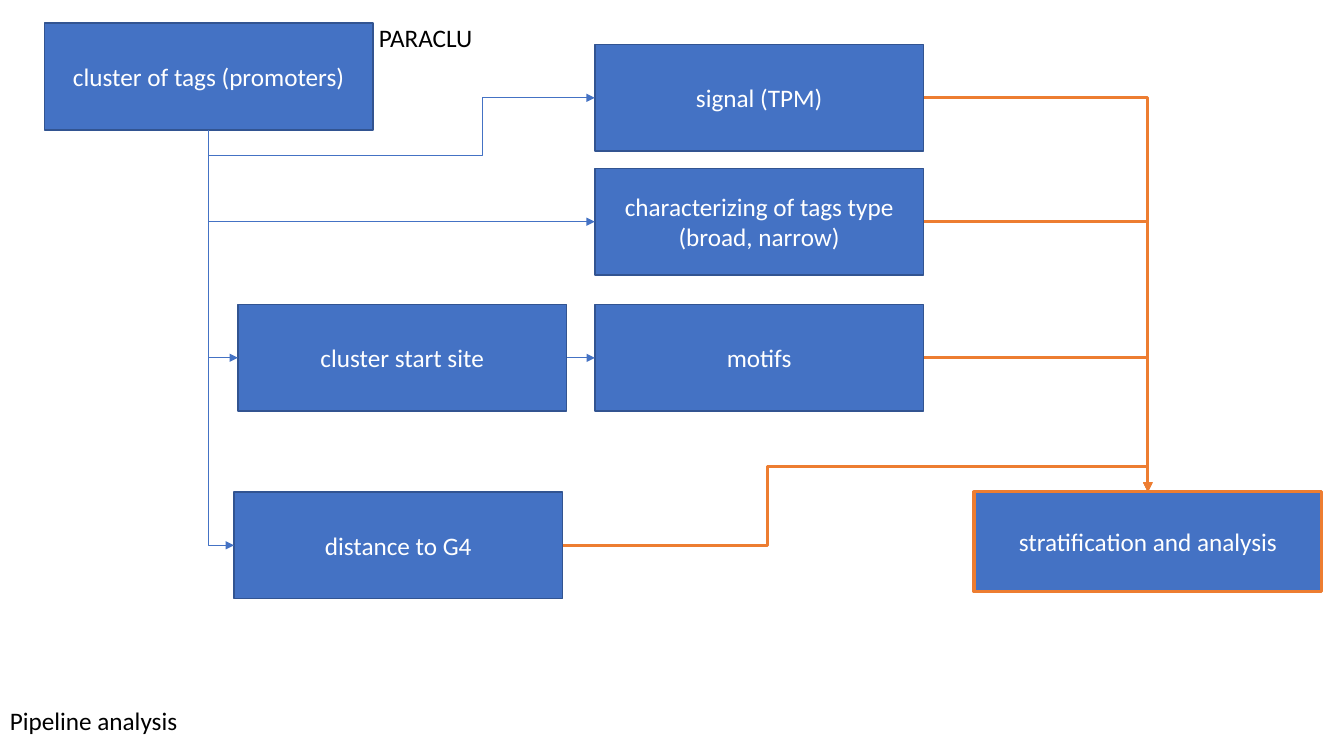
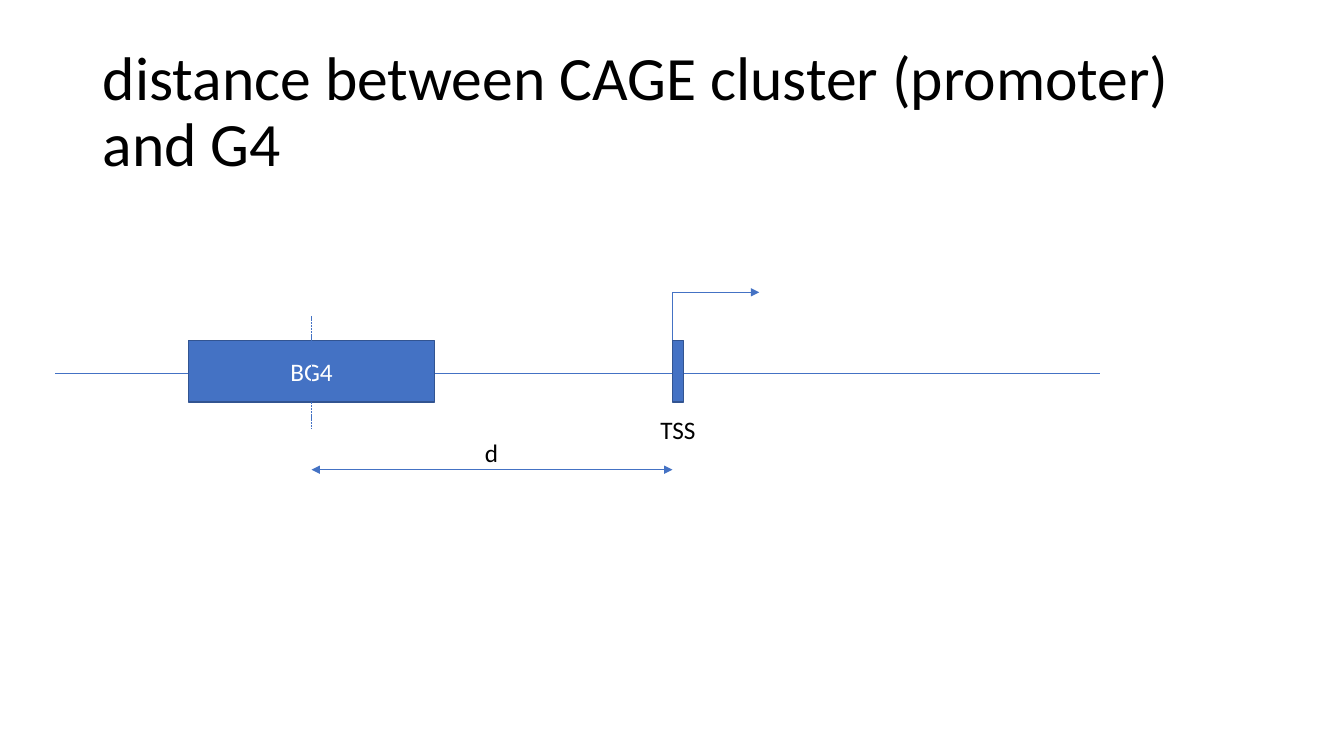
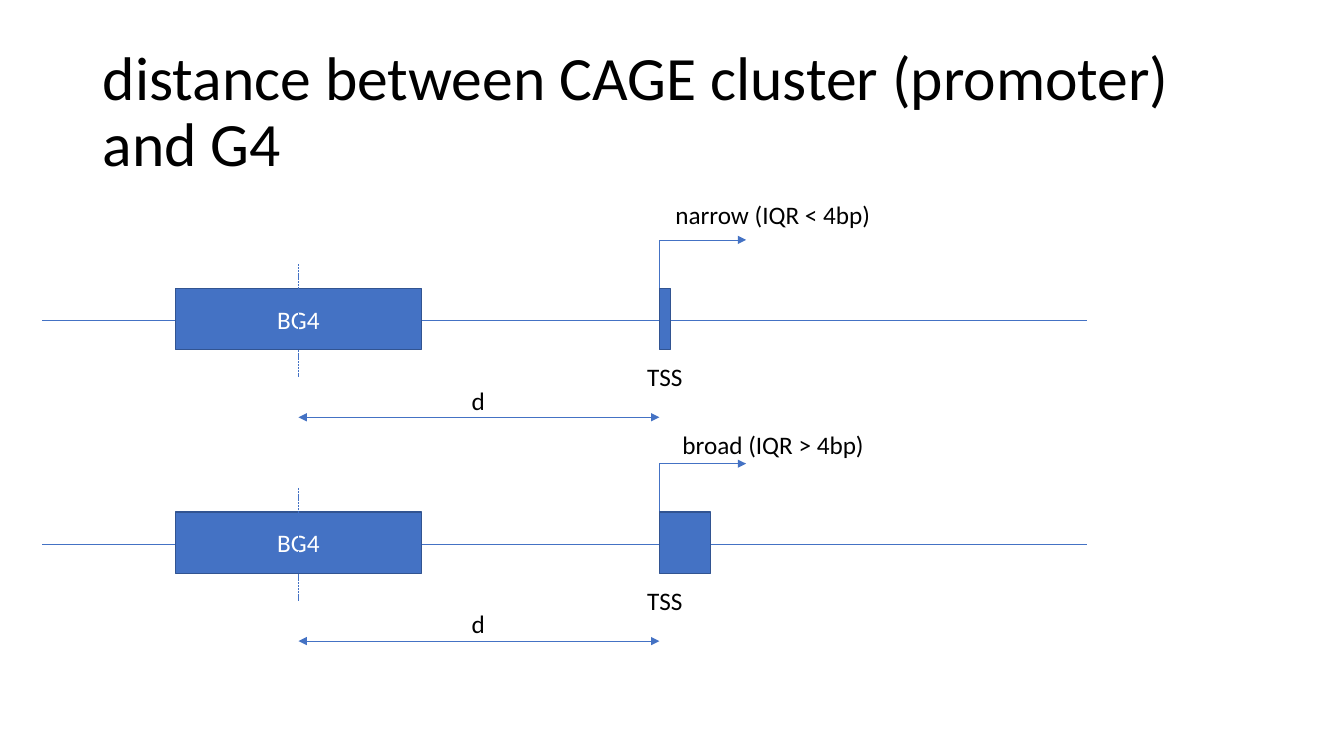
from dataclasses import dataclass
from typing import Optional

from lxml.etree import SubElement
from pptx import Presentation
from pptx.dml.color import RGBColor
from pptx.enum.dml import MSO_LINE_DASH_STYLE as Dash
from pptx.enum.shapes import MSO_CONNECTOR as Link, MSO_SHAPE as Preset
from pptx.enum.text import MSO_ANCHOR as Anchor, MSO_AUTO_SIZE as AutoSize, PP_ALIGN as Align
from pptx.oxml.ns import qn
from pptx.shapes.autoshape import Shape
from pptx.shapes.connector import Connector
from pptx.slide import Slide
from pptx.util import Inches, Pt

COLORS = {
    "fill": "4472C4",
    "border": "325491",
    "accent": "ED7D31",
    "text": "000000",
    "light": "FFFFFF",
}
FONT = "Calibri"
TITLE = "distance between CAGE cluster (promoter) and G4"
TOP, LEFT, BOTTOM, RIGHT = range(4)


@dataclass(frozen=True)
class Box:
    left: float
    top: float
    text: str = ""
    width: float = 3.26
    height: float = 1.06
    border: str = "border"
    border_width: float = 1


@dataclass(frozen=True)
class Route:
    start: str
    start_site: int
    end: str
    end_site: int
    preset: str = "bentConnector2"
    bends: tuple[float, ...] = ()
    head: bool = False
    tail: bool = False
    color: str = "fill"
    width: float = 0.5


@dataclass(frozen=True)
class Locus:
    left: float
    axis: float
    tss_width: float


@dataclass(frozen=True)
class Label:
    left: float
    top: float
    width: float
    text: str


STEPS = {
    "cluster": Box(0.44, 0.23, "cluster of tags (promoters)"),
    "type": Box(5.9, 1.67, "characterizing of tags type (broad, narrow)"),
    "start": Box(2.36, 3.02, "cluster start site"),
    "motifs": Box(5.9, 3.02, "motifs"),
    "distance": Box(2.32, 4.88, "distance to G4"),
    "analysis": Box(9.66, 4.88, "stratification and analysis", 3.45, 0.99, "accent", 2.25),
    "signal": Box(5.9, 0.44, "signal (TPM)"),
}

ROUTES = [
    *(Route(step, LEFT, "cluster", BOTTOM, head=True) for step in ("type", "start", "distance")),
    Route("start", RIGHT, "motifs", LEFT, "line", tail=True),
    Route("signal", LEFT, "cluster", BOTTOM, "bentConnector4", (0.29, 1.79), head=True),
    *(
        Route(step, RIGHT, "analysis", TOP, tail=True, color="accent", width=2.25)
        for step in ("signal", "type", "motifs")
    ),
    Route("distance", RIGHT, "analysis", TOP, "bentConnector4", (0.35, 1.47),
          tail=True, color="accent", width=2.25),
]


def rgb(name: str) -> RGBColor:
    return RGBColor.from_string(COLORS[name])


def write(shape: Shape, text: str, color: str, size: float = 18, align: Align = Align.LEFT) -> None:
    shape.text_frame.text = text
    para = shape.text_frame.paragraphs[0]
    para.alignment = align
    para.font.name = FONT
    para.font.size = Pt(size)
    para.font.color.rgb = rgb(color)


def add_box(page: Slide, box: Box) -> Shape:
    shape = page.shapes.add_shape(
        Preset.RECTANGLE, Inches(box.left), Inches(box.top), Inches(box.width), Inches(box.height)
    )
    shape.shadow.inherit = False
    shape.fill.solid()
    shape.fill.fore_color.rgb = rgb("fill")
    shape.line.color.rgb = rgb(box.border)
    shape.line.width = Pt(box.border_width)
    if box.text:
        write(shape, box.text, "light", align=Align.CENTER)
        shape.text_frame.vertical_anchor = Anchor.MIDDLE
    return shape


def add_label(page: Slide, label: Label) -> None:
    shape = page.shapes.add_textbox(
        Inches(label.left), Inches(label.top), Inches(label.width), Inches(0.4)
    )
    write(shape, label.text, "text")
    shape.text_frame.word_wrap = False
    shape.text_frame.auto_size = AutoSize.SHAPE_TO_FIT_TEXT


def style_line(line: Connector, color: str, width: float, head: bool, tail: bool,
               dash: Optional[Dash] = None) -> None:
    line.line.color.rgb = rgb(color)
    line.line.width = Pt(width)
    if dash is not None:
        line.line.dash_style = dash
    properties = line._element.spPr
    outline = properties.find(qn("a:ln"))
    for tag, shown in (("a:headEnd", head), ("a:tailEnd", tail)):
        if shown:
            SubElement(outline, qn(tag), type="triangle")
    SubElement(properties, qn("a:effectLst"))


def add_line(page: Slide, start: tuple[float, float], end: tuple[float, float], width: float = 0.5,
             head: bool = False, tail: bool = False, dash: Optional[Dash] = None) -> None:
    points = [Inches(value) for value in (*start, *end)]
    line = page.shapes.add_connector(Link.STRAIGHT, *points)
    style_line(line, "fill", width, head, tail, dash)


def add_route(page: Slide, route: Route, steps: dict[str, Shape]) -> None:
    line = page.shapes.add_connector(Link.ELBOW, 0, 0, 0, 0)
    line.begin_connect(steps[route.start], route.start_site)
    line.end_connect(steps[route.end], route.end_site)
    geometry = line._element.spPr.find(qn("a:prstGeom"))
    geometry.set("prst", route.preset)
    guides = geometry.find(qn("a:avLst"))
    for number, bend in enumerate(route.bends, 1):
        SubElement(guides, qn("a:gd"), name=f"adj{number}", fmla=f"val {round(bend * 100000)}")
    style_line(line, route.color, route.width, route.head, route.tail)


def add_locus(page: Slide, locus: Locus) -> None:
    left, axis = locus.left, locus.axis
    top = axis - 0.32
    center, tss, turn = left + 2.54, left + 6.12, axis - 0.8
    add_line(page, (left, axis), (left + 10.36, axis))
    add_line(page, (tss, top), (tss, turn), width=1)
    add_box(page, Box(left + 1.32, top, "BG4", 2.44, 0.61))
    add_box(page, Box(tss, top, "", locus.tss_width, 0.61))
    add_line(page, (tss, turn), (tss + 0.86, turn), tail=True)
    add_label(page, Label(left + 5.9, axis + 0.36, 0.55, "TSS"))
    add_line(page, (center, axis - 0.56), (center, axis + 0.56), dash=Dash.SQUARE_DOT)
    add_line(page, (center, axis + 0.96), (tss, axis + 0.96), head=True, tail=True)
    add_label(page, Label(left + 4.16, axis + 0.59, 0.34, "d"))


def build_pipeline(deck: Presentation) -> None:
    page = deck.slides.add_slide(deck.slide_layouts[6])
    steps = {name: add_box(page, box) for name, box in STEPS.items()}
    for route in ROUTES:
        add_route(page, route, steps)
    add_label(page, Label(3.66, 0.17, 1.14, "PARACLU"))
    add_label(page, Label(0, 6.95, 1.88, "Pipeline analysis"))


def build_distance(deck: Presentation, loci: list[Locus], labels: list[Label]) -> None:
    page = deck.slides.add_slide(deck.slide_layouts[5])
    title = page.shapes.title
    title.left, title.top = Inches(0.92), Inches(0.4)
    title.width, title.height = Inches(11.5), Inches(1.45)
    write(title, TITLE, "text", 44)
    title.text_frame.paragraphs[0].line_spacing = 0.9
    title.text_frame.vertical_anchor = Anchor.MIDDLE
    title.text_frame.auto_size = AutoSize.NONE
    for locus in loci:
        add_locus(page, locus)
    for label in labels:
        add_label(page, label)


def main() -> None:
    deck = Presentation()
    deck.slide_width, deck.slide_height = Inches(13.33), Inches(7.5)
    build_pipeline(deck)
    build_distance(deck, [Locus(0.55, 3.7, 0.11)], [])
    build_distance(
        deck,
        [Locus(0.42, 5.4, 0.51), Locus(0.42, 3.18, 0.11)],
        [Label(6.6, 1.93, 2.16, "narrow (IQR < 4bp)"), Label(6.67, 4.21, 2.02, "broad (IQR > 4bp)")],
    )
    deck.save("out.pptx")


if __name__ == "__main__":
    main()
